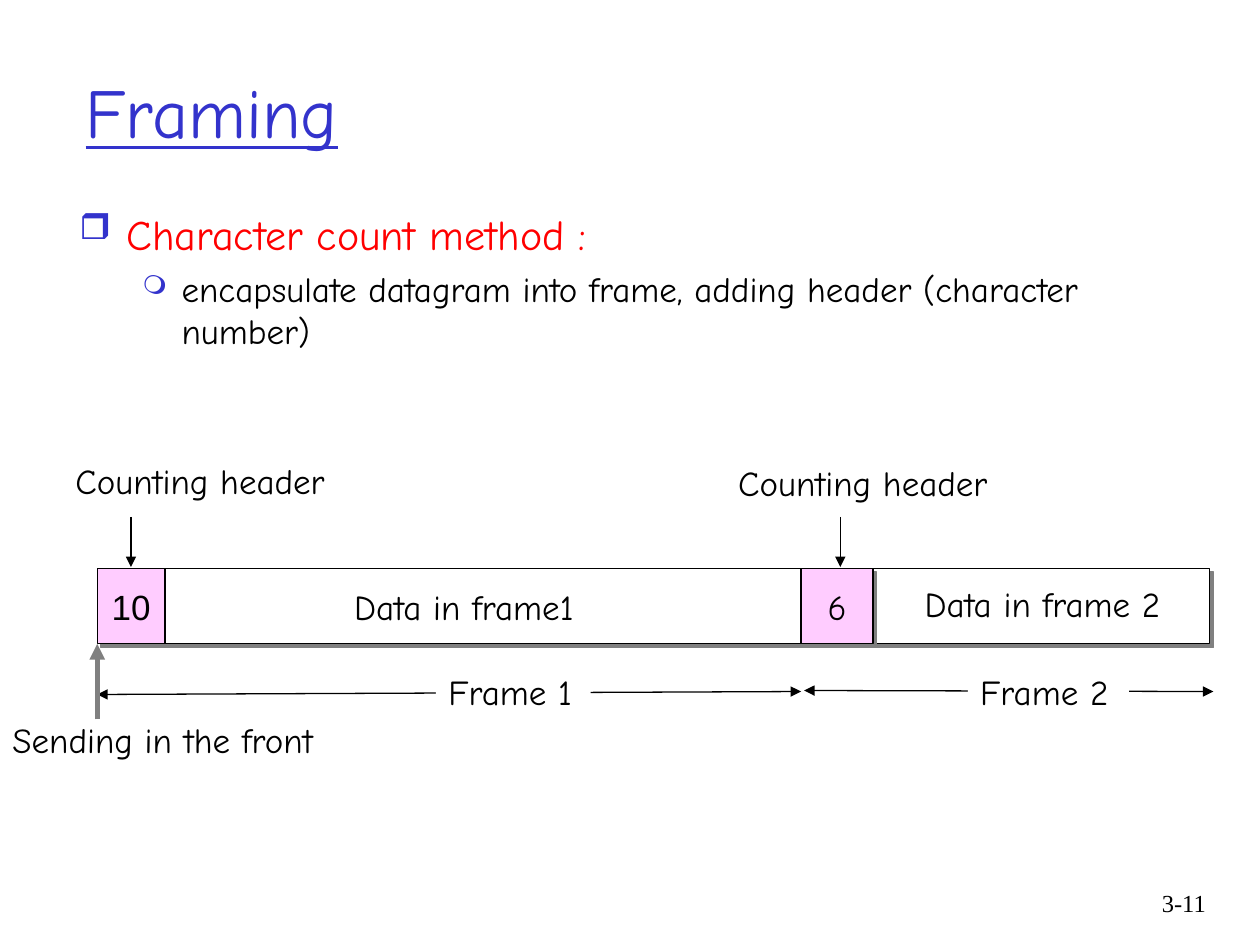
from lxml import etree
from pptx import Presentation
from pptx.dml.color import RGBColor
from pptx.enum.shapes import MSO_CONNECTOR, MSO_SHAPE
from pptx.enum.text import MSO_ANCHOR, PP_ALIGN
from pptx.oxml.ns import qn
from pptx.util import Cm, Pt

BLACK = RGBColor(0x00, 0x00, 0x00)
WHITE = RGBColor(0xFF, 0xFF, 0xFF)
BLUE = RGBColor(0x33, 0x33, 0xCC)
RED = RGBColor(0xFF, 0x00, 0x00)
PINK = RGBColor(0xFF, 0xCC, 0xFF)
GREY = RGBColor(0x80, 0x80, 0x80)
LEFT, CENTER, RIGHT = PP_ALIGN.LEFT, PP_ALIGN.CENTER, PP_ALIGN.RIGHT
TOP, MIDDLE = MSO_ANCHOR.TOP, MSO_ANCHOR.MIDDLE
RECT, STRAIGHT = MSO_SHAPE.RECTANGLE, MSO_CONNECTOR.STRAIGHT
FONT = "Comic Neue"
ROW_TOP, ROW_HEIGHT = 11.46, 1.52
LABEL_HEIGHT = 1.12


class Deck:
    """Holds the style and the current slide, with a method per kind of element."""

    def __init__(self, prs):
        self.slide = prs.slides.add_slide(prs.slide_layouts[5])
        self.shapes = self.slide.shapes
        self.style = {"name": FONT, "size": Pt(20)}

    def run(self, p, text, color=BLACK, **fmt):
        r = p.add_run()
        r.text = text
        for key, value in {**self.style, **fmt}.items():
            setattr(r.font, key, value)
        r.font.color.rgb = color

    def frame(self, sp, anchor=TOP, **fmt):
        tf = sp.text_frame
        for key, value in {"word_wrap": True, "vertical_anchor": anchor, **fmt}.items():
            setattr(tf, key, value)
        return tf

    def title(self, text, box):
        sp = self.shapes.title
        sp.left, sp.top, sp.width, sp.height = map(Cm, box)
        p = self.frame(sp, MIDDLE).paragraphs[0]
        p.alignment = LEFT
        self.run(p, text, BLUE, size=Pt(40), underline=True)

    def label(self, text, x, y, width, height=LABEL_HEIGHT, fill=None, align=LEFT, **fmt):
        sp = self.shapes.add_textbox(Cm(x), Cm(y), Cm(width), Cm(height))
        if fill is not None:
            sp.fill.solid()
            sp.fill.fore_color.rgb = fill
        p = self.frame(sp).paragraphs[0]
        p.alignment = align
        self.run(p, text, **fmt)

    def bullets(self, items, box):
        tf = self.frame(self.shapes.add_textbox(*map(Cm, box)))
        for i, (char, scale, margin, indent, before, runs) in enumerate(items):
            p = tf.add_paragraph() if i else tf.paragraphs[0]
            p.level, p.space_before = i, Pt(before)
            ppr = p._p.get_or_add_pPr()
            ppr.set("marL", str(Cm(margin)))
            ppr.set("indent", str(Cm(-indent)))
            color = etree.SubElement(ppr, qn("a:buClr"))
            etree.SubElement(color, qn("a:srgbClr"), val=str(BLUE))
            etree.SubElement(ppr, qn("a:buSzPct"), val=str(scale * 1000))
            etree.SubElement(ppr, qn("a:buChar"), char=char)
            for text, color, size in runs:
                self.run(p, text, color, size=Pt(size))

    def cell(self, text, x, width, fill, align=CENTER, margin=0, **fmt):
        sp = self.shapes.add_shape(RECT, Cm(x), Cm(ROW_TOP), Cm(width), Cm(ROW_HEIGHT))
        sp.fill.solid()
        sp.fill.fore_color.rgb = fill
        sp.line.color.rgb, sp.line.width = BLACK, Pt(0.75)
        sp.shadow.inherit = False
        effects = sp._element.spPr.find(qn("a:effectLst"))
        shadow = etree.SubElement(effects, qn("a:outerShdw"), dist=str(Pt(2.8)),
                                  dir="2700000", algn="ctr", rotWithShape="0")
        etree.SubElement(shadow, qn("a:srgbClr"), val=str(GREY))
        tf = self.frame(sp, MIDDLE, margin_left=Cm(margin), margin_right=0)
        p = tf.paragraphs[0]
        p.alignment = align
        self.run(p, text, **fmt)

    def arrow(self, start, end, ends=("tailEnd",), color=BLACK, width=0.75):
        sp = self.shapes.add_connector(STRAIGHT, *map(Cm, start + end))
        sp.line.color.rgb, sp.line.width = color, Pt(width)
        for tag in ends:
            etree.SubElement(sp.line._get_or_add_ln(), qn(f"a:{tag}"), type="triangle")
        etree.SubElement(sp._element.spPr, qn("a:effectLst"))


def main():
    prs = Presentation()
    prs.slide_width, prs.slide_height = Cm(25.4), Cm(19.05)
    deck = Deck(prs)
    both = ("headEnd", "tailEnd")

    deck.label("3-11", 22.68, 17.78, 1.88, 1.27, align=RIGHT,
               name="Times New Roman", size=Pt(14))
    deck.title("Framing", (1.47, 0.64, 21.59, 3.18))
    deck.bullets([
        ("❒", 85, 0.95, 0.95, 5.6,
         [("Character count method :", RED, 24), (" ", BLACK, 28)]),
        ("❍", 75, 2.06, 0.79, 4,
         [("encapsulate datagram into frame, adding header (character number)", BLACK, 20)]),
    ], (1.35, 3.94, 21.59, 12.9))

    deck.cell("10", 1.96, 1.37, PINK, name="Arial")
    deck.cell("Data in frame1", 3.33, 21.06, WHITE, LEFT, 3.81)
    deck.cell("6", 16.15, 1.45, PINK)
    deck.label("Data in frame 2", 18.39, 11.61, 5.77, fill=WHITE)

    for x, y, arrow_x in ((1.27, 9.14, 2.64), (14.63, 9.17, 16.94)):
        deck.label("Counting header", x, y, 5.87)
        deck.arrow((arrow_x, 10.42), (arrow_x, 11.43))

    for text, start, end, x, width in (
        ("Frame 1", (1.96, 14), (16.15, 13.94), 8.79, 3.12),
        ("Frame 2", (16.21, 13.92), (24.46, 13.94), 19.51, 3.25),
    ):
        deck.arrow(start, end, both)
        deck.label(text, x, 13.4, width, fill=WHITE)

    deck.arrow((1.96, 14.5), (1.96, 12.98), color=GREY, width=3)
    deck.label("Sending in the front", 0, 14.35, 7.29)
    prs.save("out.pptx")


if __name__ == "__main__":
    main()
